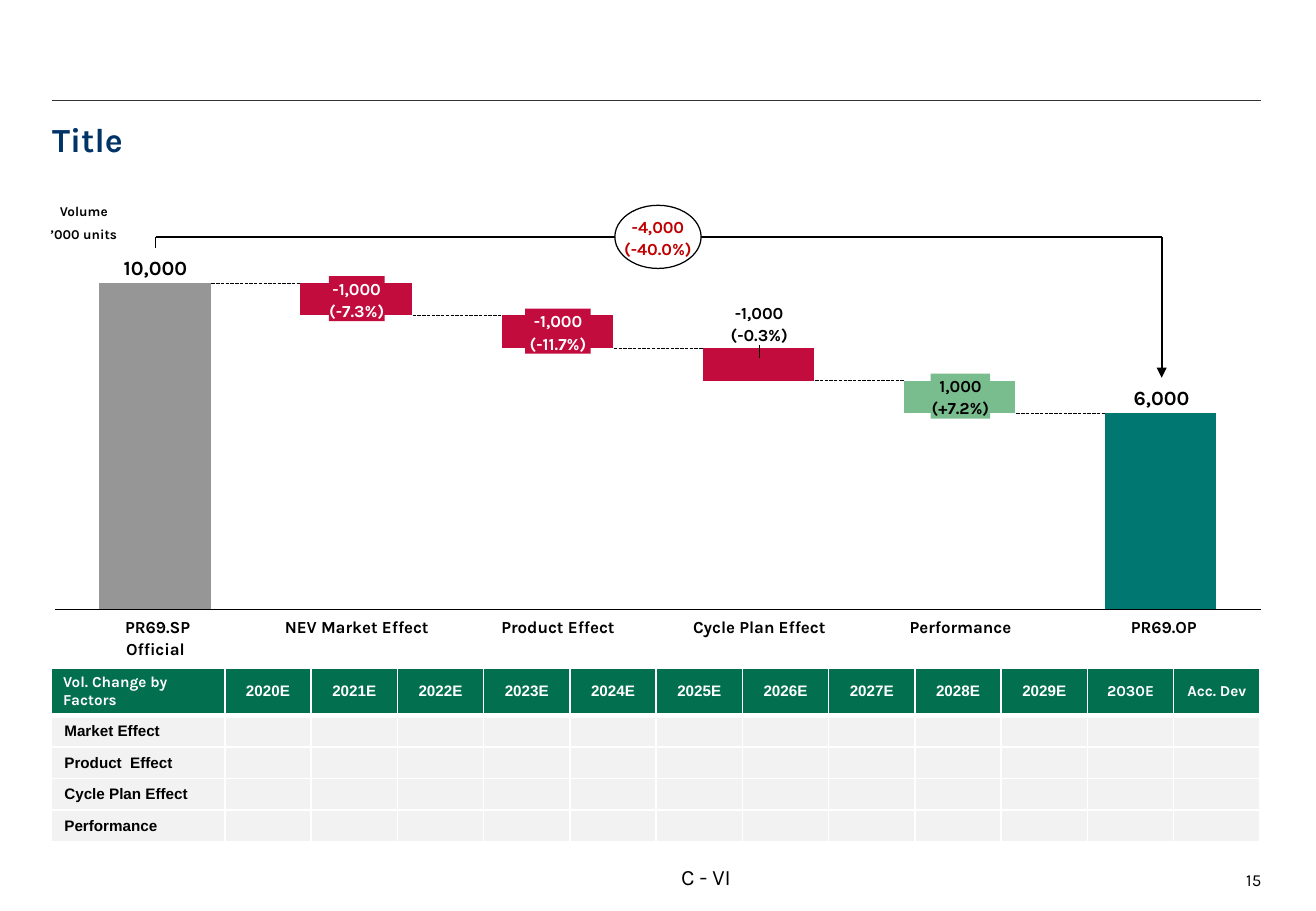
import dataclasses

import lxml.etree
import pptx
import pptx.chart.data
import pptx.dml.color
import pptx.enum.chart
import pptx.enum.dml
import pptx.enum.shapes
import pptx.enum.text
import pptx.oxml
import pptx.oxml.ns
import pptx.util

Inches = pptx.util.Inches
Pt = pptx.util.Pt
RGB = pptx.dml.color.RGBColor.from_string
ALIGN = pptx.enum.text.PP_ALIGN
ANCHOR = pptx.enum.text.MSO_ANCHOR
SHAPE = pptx.enum.shapes.MSO_SHAPE
qn = pptx.oxml.ns.qn


@dataclasses.dataclass(frozen=True)
class Theme:
    font: str = "Karla"
    table_font: str = "Arial"
    black: str = "000000"
    white: str = "FFFFFF"
    rule: str = "333333"
    title: str = "003366"
    total: str = "C00000"
    start: str = "969696"
    end: str = "007770"
    loss: str = "C30C3E"
    gain: str = "79BD8F"
    header: str = "026F4E"
    body: str = "F2F2F2"
    title_size: int = 20
    footer_size: int = 13
    total_size: int = 12
    label_size: int = 10
    table_size: int = 9
    unit_size: int = 8


theme = Theme()
prs = pptx.Presentation()
prs.slide_width, prs.slide_height = Inches(10.83), Inches(7.5)
slide = prs.slides.add_slide(prs.slide_layouts[6])


def label(box, text, size=theme.label_size, color=theme.black, bold=True, align=ALIGN.CENTER,
          anchor=ANCHOR.TOP, spacing=1.1, before=0, shape=None, fill=None):
    """Place text in a box (left, top, width, height), on a filled shape if one is given."""
    place = [Inches(length) for length in box]
    if shape is None:
        item = slide.shapes.add_textbox(*place)
    else:
        item = slide.shapes.add_shape(shape, *place)
        item.shadow.inherit = False
        item.fill.solid()
        item.fill.fore_color.rgb = RGB(fill)
        item.line.fill.background()
    frame = item.text_frame
    frame.margin_left = frame.margin_right = frame.margin_top = frame.margin_bottom = 0
    frame.word_wrap = False
    frame.vertical_anchor = anchor
    frame.text = text
    for paragraph in frame.paragraphs:
        paragraph.alignment = align
        paragraph.line_spacing = spacing
        paragraph.space_before = Pt(before)
        font = paragraph.runs[0].font
        font.name, font.size, font.bold = theme.font, Pt(size), bold
        font.color.rgb = RGB(color)
    return item


def line(x1, y1, x2, y2, width, color=theme.black):
    connector = slide.shapes.add_connector(
        pptx.enum.shapes.MSO_CONNECTOR.STRAIGHT, Inches(x1), Inches(y1), Inches(x2), Inches(y2))
    connector.line.width = Pt(width)
    connector.line.color.rgb = RGB(color)
    lxml.etree.SubElement(connector._element.spPr, qn("a:effectLst"))
    return connector


# Title and footer
line(0.43, 0.83, 10.38, 0.83, 0.75, theme.rule)
label((0.43, 0.98, 9.96, 0.75), "Title", theme.title_size, theme.title, align=ALIGN.LEFT, spacing=1)
label((4.71, 7.12, 2.2, 0.2), "C - VI", theme.footer_size, bold=False, anchor=ANCHOR.MIDDLE, spacing=1)
label((9.58, 7.16, 0.8, 0.2), "15", bold=False, align=ALIGN.RIGHT, spacing=1)

# Bar grid shared by the chart, its labels and its level lines
first_center, last_center = 1.28, 9.56
pitch = (last_center - first_center) / 5
bar_width = pitch / 1.8
first_level, last_level = 2.33, 3.4
drop = (last_level - first_level) / 4
centers = [first_center + pitch * i for i in range(6)]

for i in range(5):
    level = first_level + drop * i
    level_line = line(centers[i] + bar_width / 2, level, centers[i + 1] - bar_width / 2, level, 0.25)
    level_line.line.dash_style = pptx.enum.dml.MSO_LINE.LONG_DASH

# Waterfall chart
volumes = pptx.chart.data.CategoryChartData()
volumes.categories = ["1", "2", "3", "4", "5", "6"]
volumes.add_series("Series 1", (100, 90, 80, 70, 60, 60))
volumes.add_series("Series 2", (None, 10, 10, 10, 10, None))
waterfall = slide.shapes.add_chart(
    pptx.enum.chart.XL_CHART_TYPE.COLUMN_STACKED,
    Inches(0.36), Inches(2.24), Inches(10.11), Inches(2.87), volumes).chart
waterfall.has_legend = waterfall.has_title = False
waterfall.font.name, waterfall.font.size = theme.font, Pt(theme.label_size)
waterfall.font.color.rgb = RGB(theme.black)

categories, values = waterfall.category_axis, waterfall.value_axis
categories.tick_label_position = pptx.enum.chart.XL_TICK_LABEL_POSITION.NONE
categories.major_tick_mark = pptx.enum.chart.XL_TICK_MARK.NONE
categories.format.line.width = Pt(0.75)
categories.format.line.color.rgb = RGB(theme.black)
values.minimum_scale, values.maximum_scale = 0, 100
values.has_major_gridlines = False
values.visible = False

plot = waterfall.plots[0]
plot.gap_width, plot.overlap, plot.vary_by_categories = 80, 100, False
base, change = plot.series
base.format.fill.background()
change.format.fill.solid()
change.format.fill.fore_color.rgb = RGB(theme.loss)
for series, index, color in ((base, 0, theme.start), (base, 5, theme.end), (change, 4, theme.gain)):
    bar_fill = series.points[index].format.fill
    bar_fill.solid()
    bar_fill.fore_color.rgb = RGB(color)

plot_area = waterfall._chartSpace.chart.plotArea
for old_layout in plot_area.findall(qn("c:layout")):
    plot_area.remove(old_layout)
layout = lxml.etree.Element(qn("c:layout"))
manual = lxml.etree.SubElement(layout, qn("c:manualLayout"))
for tag, value in (("layoutTarget", "inner"), ("xMode", "edge"), ("yMode", "edge"),
                   ("x", "0.009"), ("y", "0.031"), ("w", "0.982"), ("h", "0.937")):
    lxml.etree.SubElement(manual, qn("c:" + tag)).set("val", value)
plot_area.insert(0, layout)

# Bracket from the first to the last bar
line(first_center, 2.04, first_center, 1.95, 1)
line(first_center, 1.95, last_center, 1.95, 1)
arrow = line(last_center, 1.95, last_center, 3.11, 1)
lxml.etree.SubElement(arrow._element.spPr.get_or_add_ln(), qn("a:tailEnd")).set("type", "triangle")
line(centers[3], 2.84, centers[3], 2.95, 0.5)

# Bar labels
for i, text, width, color, fill in (
        (1, "-1,000\n(-7.3%)", 0.46, theme.white, theme.loss),
        (2, "-1,000\n(-11.7%)", 0.54, theme.white, theme.loss),
        (4, "1,000\n(+7.2%)", 0.49, theme.black, theme.gain)):
    middle = first_level + drop * (i - 0.5)
    label((centers[i] - width / 2, middle - 0.19, width, 0.37), text, color=color,
          anchor=ANCHOR.MIDDLE, shape=SHAPE.RECTANGLE, fill=fill)
label((centers[3] - 0.4, 2.47, 0.8, 0.37), "-1,000\n(-0.3%)", anchor=ANCHOR.BOTTOM)
for center, top, volume in ((first_center, 2.08, "10,000"), (last_center, 3.15, "6,000")):
    label((center - 0.4, top, 0.8, 0.22), volume, theme.total_size, anchor=ANCHOR.BOTTOM)

for center, name in zip(centers, (" PR69.SP\nOfficial", "NEV Market Effect", "Product Effect",
                                  "Cycle Plan Effect", "Performance", " PR69.OP")):
    label((center - 0.75, 5.06, 1.5, 0.18), name)

total = label((5.06, 1.69, 0.71, 0.52), "-4,000\n(-40.0%)", color=theme.total,
              anchor=ANCHOR.MIDDLE, shape=SHAPE.OVAL, fill=theme.white)
total.line.width = Pt(0.75)
total.line.color.rgb = RGB(theme.black)
label((0.33, 1.67, 0.72, 0.33), "Volume\n’000 units", theme.unit_size, spacing=1, before=4)

# Volume change table
headers = ["Vol. Change by Factors", *(f"{year}E" for year in range(2020, 2031)), "Acc. Dev"]
factors = ["Market Effect", "Product  Effect", "Cycle Plan Effect", "Performance"]
rows = [headers] + [[factor] + [""] * 12 for factor in factors]
table = slide.shapes.add_table(5, 13, Inches(0.42), Inches(5.5), Inches(9.96), Inches(1.43)).table
for c, column in enumerate(table.columns):
    column.width = Inches(0.71 if c else 1.43)
for r, row in enumerate(table.rows):
    row.height = Inches(0.26 if r else 0.39)
    for c, text in enumerate(rows[r]):
        cell = table.cell(r, c)
        cell.fill.solid()
        cell.fill.fore_color.rgb = RGB(theme.body if r else theme.header)
        cell.vertical_anchor = ANCHOR.MIDDLE
        cell.margin_left = Inches(0.01 if c else 0.11 if r else 0.1)
        cell.margin_right = cell.margin_top = cell.margin_bottom = Inches(0.01)
        edges = {"lnL": 1, "lnR": 1, "lnT": 3 if r == 1 else 1, "lnB": 1 if r else 3}
        for position, (edge, width) in enumerate(edges.items()):
            border = lxml.etree.Element(qn("a:" + edge), w=str(Pt(width)))
            color = lxml.etree.SubElement(border, qn("a:solidFill"))
            lxml.etree.SubElement(color, qn("a:srgbClr")).set("val", theme.white)
            cell._tc.get_or_add_tcPr().insert(position, border)
        paragraph = cell.text_frame.paragraphs[0]
        if not text:
            lxml.etree.SubElement(paragraph._p, qn("a:endParaRPr")).set("sz", str(theme.table_size * 100))
            continue
        paragraph.text = text
        paragraph.alignment = ALIGN.CENTER if c else ALIGN.LEFT
        font = paragraph.runs[0].font
        font.name = theme.font if r == 0 and c in (0, 11, 12) else theme.table_font
        font.size, font.bold = Pt(theme.table_size), True
        font.color.rgb = RGB(theme.black if r else theme.white)

prs.save("out.pptx")
